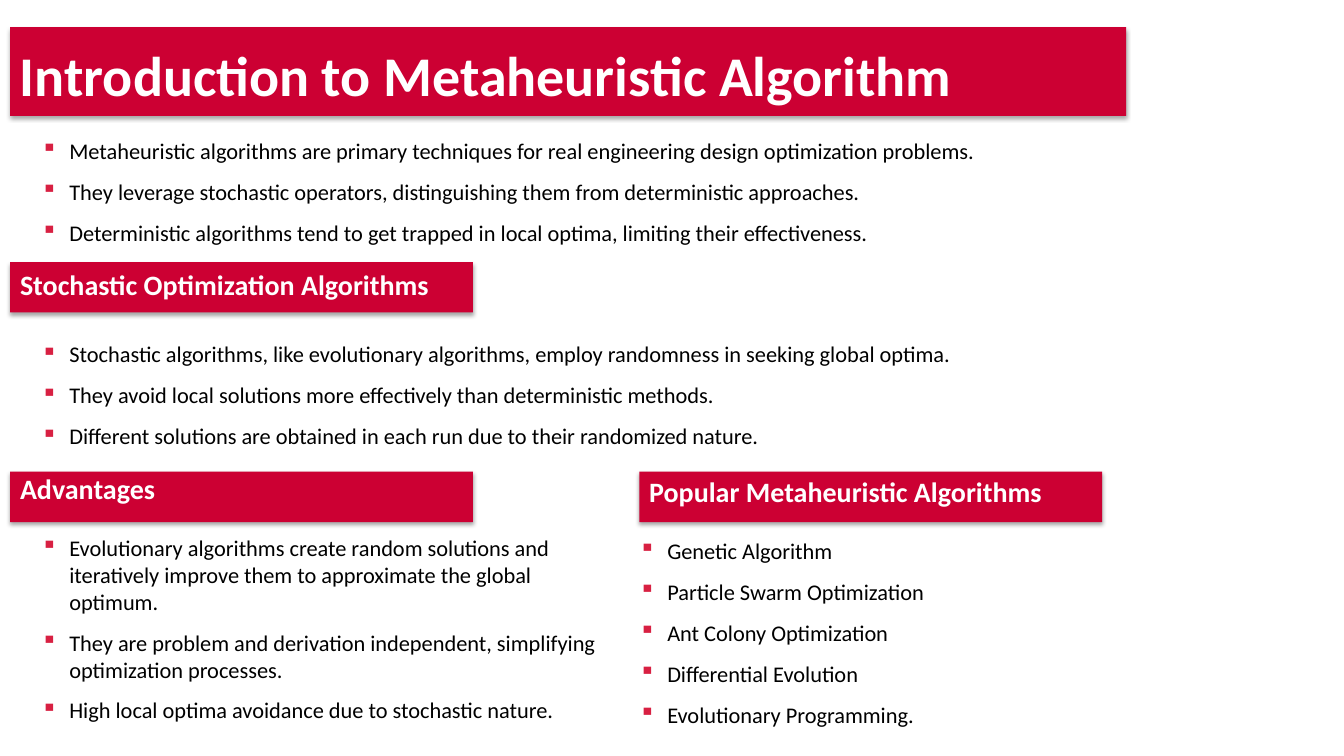
from lxml import etree
from pptx import Presentation
from pptx import util as u
from pptx.dml.color import RGBColor
from pptx.enum import shapes
from pptx.oxml import ns

RED, BULLET, BLACK, WHITE = "CC0033", "D82042", "000000", "FFFFFF"
FONT = "Calibri"
INDENT = 0.28

BANNERS = [
    ("Introduction to Metaheuristic Algorithm", 40,
     (0.1, 0.27, 11.07, 0.88), (0.1, 0.35, 10.27, 0.72)),
    ("Stochastic Optimization Algorithms", 20,
     (0.1, 2.6, 4.59, 0.5), (0.1, 2.6, 4.69, 0.5)),
    ("Advantages", 20,
     (0.1, 4.68, 4.59, 0.5), (0.1, 4.63, 4.69, 0.5)),
    ("Popular Metaheuristic Algorithms", 20,
     (6.34, 4.68, 4.59, 0.5), (6.34, 4.66, 4.69, 0.5)),
]

BULLET_LISTS = [
    ((0.31, 1.31, 10.65, 1.29), [
        "Metaheuristic algorithms are primary techniques for real engineering design optimization problems.",
        "They leverage stochastic operators, distinguishing them from deterministic approaches.",
        "Deterministic algorithms tend to get trapped in local optima, limiting their effectiveness.",
    ]),
    ((0.31, 3.33, 10.65, 1.29), [
        "Stochastic algorithms, like evolutionary algorithms, employ randomness in seeking global optima.",
        "They avoid local solutions more effectively than deterministic methods.",
        "Different solutions are obtained in each run due to their randomized nature.",
    ]),
    ((0.31, 5.25, 5.87, 2.12), [
        "Evolutionary algorithms create random solutions and iteratively improve them to approximate the global optimum.",
        "They are problem and derivation independent, simplifying optimization processes.",
        "High local optima avoidance due to stochastic nature.",
    ]),
    ((6.24, 5.28, 5.87, 2.12), [
        "Genetic Algorithm",
        "Particle Swarm Optimization",
        "Ant Colony Optimization",
        "Differential Evolution",
        "Evolutionary Programming.",
    ]),
]


def color(value):
    return RGBColor.from_string(value)


def child(parent, tag, **attributes):
    return etree.SubElement(parent, ns.qn(tag), attributes)


def place(box):
    return [u.Inches(length) for length in box]


def add_bar(slide, box):
    bar = slide.shapes.add_shape(shapes.MSO_SHAPE.RECTANGLE, *place(box))
    bar.fill.solid()
    bar.fill.fore_color.rgb = color(RED)
    bar.line.fill.background()
    bar.shadow.inherit = False
    effects = bar._element.spPr.find(ns.qn("a:effectLst"))
    shadow = child(effects, "a:outerShdw", blurRad=str(u.Pt(3.1)), dist=str(u.Pt(1.8)),
                   dir="5400000", rotWithShape="0")
    tint = child(shadow, "a:srgbClr", val=BLACK)
    child(tint, "a:alpha", val="35000")


def add_bullet(paragraph):
    properties = paragraph._p.get_or_add_pPr()
    properties.set("marL", str(u.Inches(INDENT)))
    properties.set("indent", str(-u.Inches(INDENT)))
    child(child(properties, "a:buClr"), "a:srgbClr", val=BULLET)
    child(properties, "a:buChar", char="▪")
    paragraph.space_after = u.Pt(10)


def add_text(slide, box, lines, size, ink, bold=False, bulleted=False):
    frame = slide.shapes.add_textbox(*place(box)).text_frame
    frame.word_wrap = True
    for number, line in enumerate(lines):
        paragraph = frame.add_paragraph() if number else frame.paragraphs[0]
        if bulleted:
            add_bullet(paragraph)
        run = paragraph.add_run()
        run.text = line
        run.font.name = FONT
        run.font.size = u.Pt(size)
        run.font.bold = bold
        run.font.color.rgb = color(ink)


def main():
    deck = Presentation()
    deck.slide_width, deck.slide_height = u.Inches(13.33), u.Inches(7.5)
    slide = deck.slides.add_slide(deck.slide_layouts[6])
    for heading, size, bar_box, heading_box in BANNERS:
        add_bar(slide, bar_box)
        add_text(slide, heading_box, [heading], size, WHITE, bold=True)
    for box, points in BULLET_LISTS:
        add_text(slide, box, points, 16, BLACK, bulleted=True)
    deck.save("out.pptx")


if __name__ == "__main__":
    main()
